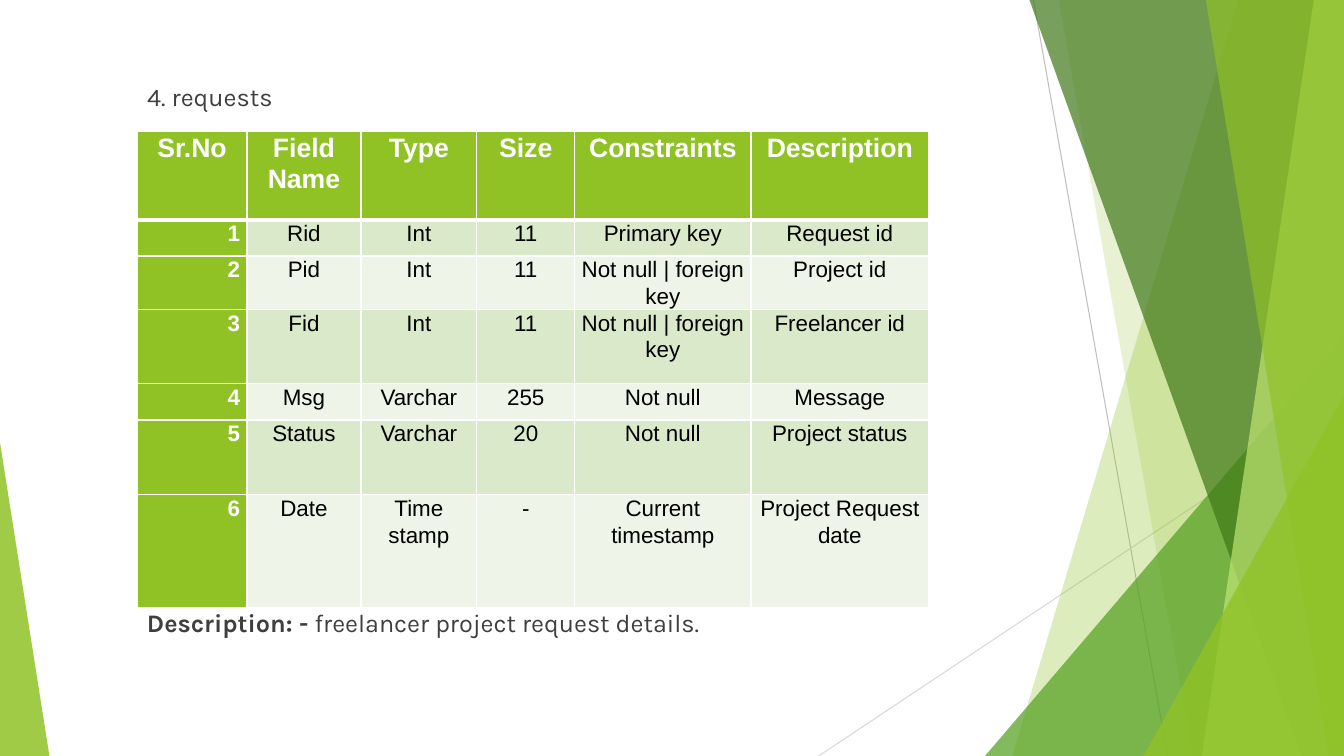
from pptx import Presentation
from pptx.dml.color import RGBColor
from pptx.enum.shapes import MSO_CONNECTOR, MSO_SHAPE
from pptx.enum.text import MSO_ANCHOR, MSO_AUTO_SIZE, PP_ALIGN
from pptx.oxml.ns import qn
from pptx.util import Inches, Pt
from lxml.etree import SubElement

# Colours
WHITE = RGBColor(0xFF, 0xFF, 0xFF)
BLACK = RGBColor(0, 0, 0)
INK = RGBColor(0x3F, 0x3F, 0x3F)
LIME = RGBColor(0x90, 0xC2, 0x26)
LEAF = RGBColor(0x54, 0xA0, 0x21)
MOSS = RGBColor(0x3F, 0x78, 0x18)
PALE = RGBColor(0xBF, 0xE4, 0x71)
GREY = RGBColor(0xBF, 0xBF, 0xBF)
MIST = RGBColor(0xD8, 0xD8, 0xD8)
BANDS = (RGBColor(0xDB, 0xE9, 0xCB), RGBColor(0xEE, 0xF4, 0xE7))

# Slide grid: 1333 columns by 750 rows
CELL = Inches(0.01)
COLS, ROWS = 1333, 750

BODY = {"size": Pt(18), "name": "Karla", "bold": False}
BOLD = {**BODY, "bold": True}
HEAD = {"size": Pt(19), "name": "Arial", "bold": True}
KEY = {"size": Pt(16), "name": "Arial", "bold": True}
DATA = {**KEY, "bold": False}

WIDTHS = (109, 113, 115, 97, 175, 176)
HEIGHTS = (88, 36, 36, 74, 36, 74, 112)
FIELDS = (
    ("Sr.No", "Field Name", "Type", "Size", "Constraints", "Description"),
    ("1", "Rid", "Int", "11", "Primary key", "Request id"),
    ("2", "Pid", "Int", "11", "Not null | foreign key", "Project id"),
    ("3", "Fid", "Int", "11", "Not null | foreign key", "Freelancer id"),
    ("4", "Msg", "Varchar", "255", "Not null", "Message"),
    ("5", "Status", "Varchar", "20", "Not null", "Project status"),
    ("6", "Date", "Time stamp", "-", "Current timestamp", "Project Request date"),
)


def emu(*cells):
    return [c * CELL for c in cells]


def set_all(item, values):
    for name, value in values.items():
        setattr(item, name, value)


def write(para, text, look, color):
    run = para.add_run()
    run.text = text
    set_all(run.font, look)
    run.font.color.rgb = color


def paint(shape, color, alpha):
    shape.shadow.inherit = False
    shape.line.fill.background()
    shape.fill.solid()
    shape.fill.fore_color.rgb = color
    tone = shape._element.spPr.find(qn("a:solidFill"))[0]
    SubElement(tone, qn("a:alpha"), val=str(alpha * 1000))


def draw_ray(slide, box, start, end, color):
    left, top = box[:2]
    ends = emu(left + start[0], top + start[1], left + end[0], top + end[1])
    ray = slide.shapes.add_connector(MSO_CONNECTOR.STRAIGHT, *ends)
    ray.line.color.rgb = color
    ray.line.width = Pt(0.75)
    SubElement(ray._element.spPr, qn("a:effectLst"))


def draw_band(slide, box, high, low, color, alpha):
    """A band from the box's right side to a slanted left edge."""
    left, top, width, height = box
    right, foot = left + width, top + height
    pen = slide.shapes.build_freeform(*emu(left + high, top))
    pen.add_line_segments([emu(right, top), emu(right, foot), emu(left + low, foot)])
    paint(pen.convert_to_shape(), color, alpha)


def draw_peak(slide, box, dx, dy, tip, color, alpha):
    """A triangle that fills the box from (dx, dy) to its lower right corner."""
    left, top, width, height = box
    peak = slide.shapes.add_shape(
        MSO_SHAPE.ISOSCELES_TRIANGLE,
        *emu(left + dx, top + dy, width - dx, height - dy))
    peak.adjustments[0] = tip
    paint(peak, color, alpha)


def draw_facets(slide, box):
    width, height = box[2:]
    draw_ray(slide, box, (213, 0), (346, height), GREY)
    draw_ray(slide, box, (width, 403), (0, height), MIST)
    for draw, *spec in (
        (draw_band, 416, 192, LIME, 30),
        (draw_band, 238, 371, LIME, 20),
        (draw_peak, 165, 333, 1, LEAF, 72),
        (draw_band, 209, 479, MOSS, 70),
        (draw_band, 491, 380, PALE, 70),
        (draw_band, 384, 506, LIME, 65),
        (draw_peak, 322, 393, 1, LIME, 80),
    ):
        draw(slide, box, *spec)


def fit_frame(frame):
    set_all(frame, {
        "word_wrap": True, "auto_size": MSO_AUTO_SIZE.NONE,
        "vertical_anchor": MSO_ANCHOR.TOP,
        "margin_left": Inches(0.1), "margin_right": Inches(0.1),
        "margin_top": Inches(0.05), "margin_bottom": Inches(0.05)})
    para = frame.paragraphs[0]
    para.alignment = PP_ALIGN.LEFT
    return para


def add_head(slide, box):
    title = slide.shapes.title
    set_all(title, dict(zip(("left", "top", "width", "height"), emu(*box))))
    write(fit_frame(title.text_frame), "4. requests", BODY, INK)


def add_note(slide, box):
    para = fit_frame(slide.shapes.add_textbox(*emu(*box)).text_frame)
    write(para, "Description: -", BOLD, INK)
    write(para, " freelancer project request details.", BODY, INK)


def edge_cell(cell, thick):
    """White borders; sides named in thick get 3 points, others 1."""
    props = cell._tc.get_or_add_tcPr()
    for side in "LRTB":
        width = Pt(3 if side in thick else 1)
        line = SubElement(props, qn("a:ln" + side), w=str(width))
        fill = SubElement(line, qn("a:solidFill"))
        SubElement(fill, qn("a:srgbClr"), val=str(WHITE))


def fill_cell(cell, text, row, col):
    edge_cell(cell, {0: "B", 1: "T"}.get(row, ""))
    green = row == 0 or col == 0
    cell.fill.solid()
    cell.fill.fore_color.rgb = LIME if green else BANDS[(row - 1) % 2]
    set_all(cell, {
        "margin_left": Inches(0.07), "margin_right": Inches(0.07),
        "margin_top": 0, "margin_bottom": 0})
    para = cell.text_frame.paragraphs[0]
    para.alignment = PP_ALIGN.RIGHT if row and not col else PP_ALIGN.CENTER
    para.line_spacing = 1.07
    look = HEAD if row == 0 else KEY if col == 0 else DATA
    write(para, text, look, WHITE if green else BLACK)


def add_fields(slide, box):
    frame = slide.shapes.add_table(len(HEIGHTS), len(WIDTHS), *emu(*box))
    table = frame.table
    for col, width in zip(table.columns, WIDTHS):
        col.width = width * CELL
    for row, height in zip(table.rows, HEIGHTS):
        row.height = height * CELL
    for r, texts in enumerate(FIELDS):
        for c, text in enumerate(texts):
            fill_cell(table.cell(r, c), text, r, c)


def main():
    deck = Presentation()
    deck.slide_width, deck.slide_height = emu(COLS, ROWS)
    slide = deck.slides.add_slide(deck.slide_layouts[5])
    # Green facets at both sides
    draw_facets(slide, (812, 0, COLS - 812, ROWS))
    draw_peak(slide, (0, 439, 49, ROWS - 439), 0, 0, 0, LIME, 85)
    # Heading, note and table
    add_head(slide, (136, 76, 878, 493))
    add_note(slide, (136, 598, 747, 81))
    add_fields(slide, (136, 130, sum(WIDTHS), sum(HEIGHTS)))
    deck.save("out.pptx")


if __name__ == "__main__":
    main()
